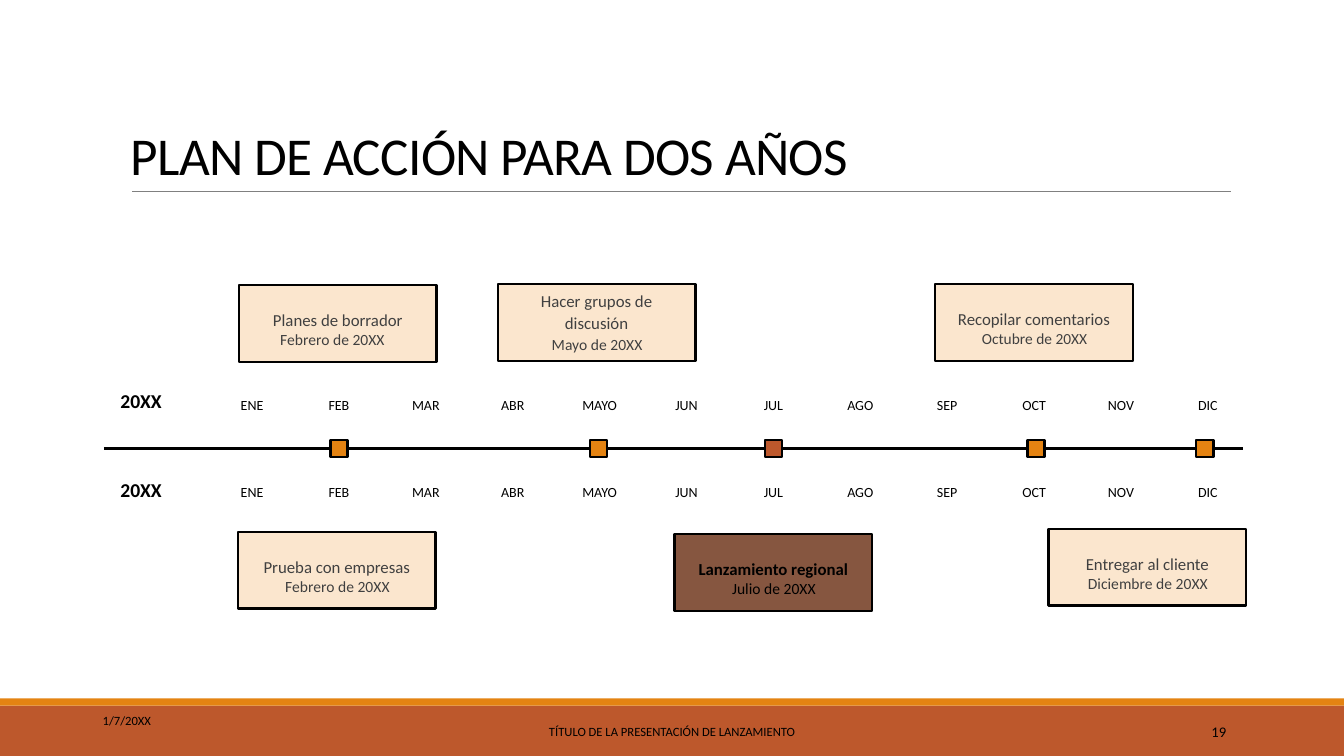
from pptx import Presentation
from pptx.dml.color import RGBColor
from pptx.enum.shapes import MSO_CONNECTOR, MSO_SHAPE
from pptx.enum.text import MSO_ANCHOR, PP_ALIGN
from pptx.util import Inches, Pt
from lxml.etree import SubElement
from pptx.oxml.ns import qn

BLACK, GREY, ORANGE, RUST, CREAM, BROWN = (
    "000000", "404040", "E48312", "BD582C", "FBE6CE", "865640")
WIDTH, HEIGHT = 13.33, 7.5

deck = Presentation()
deck.slide_width, deck.slide_height = Inches(WIDTH), Inches(HEIGHT)
slide = deck.slides.add_slide(deck.slide_layouts[6])


def paint(target, color):
    """Give a fill, a line's fill or a font one solid colour."""
    if hasattr(target, "solid"):
        target.solid()
        target.fore_color.rgb = RGBColor.from_string(color)
    else:
        target.color.rgb = RGBColor.from_string(color)


def write(text, left, top, width, height, size=12, color=BLACK, bold=False,
          align=PP_ALIGN.CENTER, anchor=MSO_ANCHOR.TOP, spacing=1.0,
          side=0.1, upper=0.05, tracking=None, fill=None, border=None):
    """Place text in a plain box, or in a rectangle if a fill is given."""
    place = [Inches(length) for length in (left, top, width, height)]
    if fill:
        box = slide.shapes.add_shape(MSO_SHAPE.RECTANGLE, *place)
        box.shadow.inherit = False
        paint(box.fill, fill)
        if border:
            paint(box.line, BLACK)
            box.line.width = Pt(border)
        else:
            box.line.fill.background()
    else:
        box = slide.shapes.add_textbox(*place)
    if not text:
        return
    frame = box.text_frame
    frame.word_wrap = True
    frame.vertical_anchor = anchor
    frame.margin_left = frame.margin_right = Inches(side)
    frame.margin_top, frame.margin_bottom = Inches(upper), Inches(0.05)
    paragraph = frame.paragraphs[0]
    paragraph.alignment, paragraph.line_spacing = align, spacing
    run = paragraph.add_run()
    run.text = text
    run.font.name, run.font.size, run.font.bold = "Calibri", Pt(size), bold
    paint(run.font, color)
    if tracking:
        run.font._element.set("spc", str(tracking))


# Footer bands
write("", 0, 7, WIDTH, 0.5, fill=RUST)
write("", 0, 6.93, WIDTH, 0.07, fill=ORANGE)

# Title rule and time axis
axis_y = 4.45
for start, end, y, color, weight in [
        (1.31, 12.21, 1.9, "808080", 0.5), (1.03, 12.33, axis_y, BLACK, 2)]:
    rule = slide.shapes.add_connector(
        MSO_CONNECTOR.STRAIGHT, Inches(start), Inches(y), Inches(end), Inches(y))
    paint(rule.line, color)
    rule.line.width = Pt(weight)
    SubElement(rule._element.spPr, qn("a:effectLst"))

# Title and footer
write("PLAN DE ACCIÓN PARA DOS AÑOS", 1.2, 0.31, 11, 1.59, size=38, spacing=0.85,
      align=PP_ALIGN.LEFT, anchor=MSO_ANCHOR.BOTTOM, tracking=-50)
for text, left, top, width, size, align in [
        ("1/7/20XX", 0.92, 6.95, 3, 9, PP_ALIGN.LEFT),
        ("TÍTULO DE LA PRESENTACIÓN DE LANZAMIENTO", 4.03, 7.06, 5.27, 9,
         PP_ALIGN.CENTER),
        ("19", 10.83, 7.06, 1.43, 10.5, PP_ALIGN.RIGHT)]:
    write(text, left, top, width, 0.4, size=size, align=align,
          anchor=MSO_ANCHOR.MIDDLE)

# Month columns: centres run evenly from ENE to DIC
months = "ENE FEB MAR ABR MAYO JUN JUL AGO SEP OCT NOV DIC".split()
first, last = 2.5, 11.98
pitch = (last - first) / (len(months) - 1)
centers = {month: first + i * pitch for i, month in enumerate(months)}

# One row of months for each year
for year_top, month_top in [(3.74, 3.9), (4.62, 4.77)]:
    write("20XX", 1, year_top, 0.8, 0.5, size=14, bold=True, spacing=0.9,
          side=0, anchor=MSO_ANCHOR.MIDDLE)
    for month, center in centers.items():
        write(month, center - 0.35, month_top, 0.7, 0.3, size=10, spacing=0.9,
              side=0)

# Markers on the axis: month, shift from its centre, colour
marker = 0.17
for month, shift, color in [("FEB", 0, ORANGE), ("MAYO", -0.01, ORANGE),
                            ("JUL", 0, RUST), ("OCT", 0.02, ORANGE),
                            ("DIC", -0.03, ORANGE)]:
    write("", centers[month] + shift - marker / 2, axis_y - marker / 2,
          marker, marker, fill=color, border=1.75)

# Milestone cards: month, shift, top, task, task spacing,
# date, date offset (right, down), date size, date spacing
card_width, card_height = 1.96, 0.76
milestones = [
    ("FEB", -0.01, 2.83, "Planes de borrador", 2,
     "Febrero de 20XX", 0, 0.44, 11.1, 0.7),
    ("MAYO", -0.03, 2.82, "Hacer grupos de discusión", 1.1,
     "Mayo de 20XX", 0.06, 0.5, 11.1, 0.7),
    ("OCT", 0, 2.82, "Recopilar comentarios", 2,
     "Octubre de 20XX", 0.06, 0.42, 11, 0.9),
    ("FEB", -0.02, 5.28, "Prueba con empresas", 2,
     "Febrero de 20XX", 0.06, 0.45, 11.1, 0.7),
    ("JUL", 0, 5.3, "Lanzamiento regional", 2,
     "Julio de 20XX", 0.06, 0.45, 11.1, 0.7),
    ("DIC", -0.6, 5.25, "Entregar al cliente", 2,
     "Diciembre de 20XX", 0.06, 0.45, 11.1, 0.7),
]
for (month, shift, top, task, task_spacing,
     date, right, down, date_size, date_spacing) in milestones:
    launch = month == "JUL"
    ink = BLACK if launch else GREY
    left = centers[month] + shift - card_width / 2
    write(task, left, top, card_width, card_height, color=ink, bold=launch,
          spacing=task_spacing, upper=0.04, fill=BROWN if launch else CREAM,
          border=1.75)
    write(date, left + right, top + down, 1.85, 0.25, size=date_size, color=ink,
          spacing=date_spacing)

deck.save("out.pptx")
